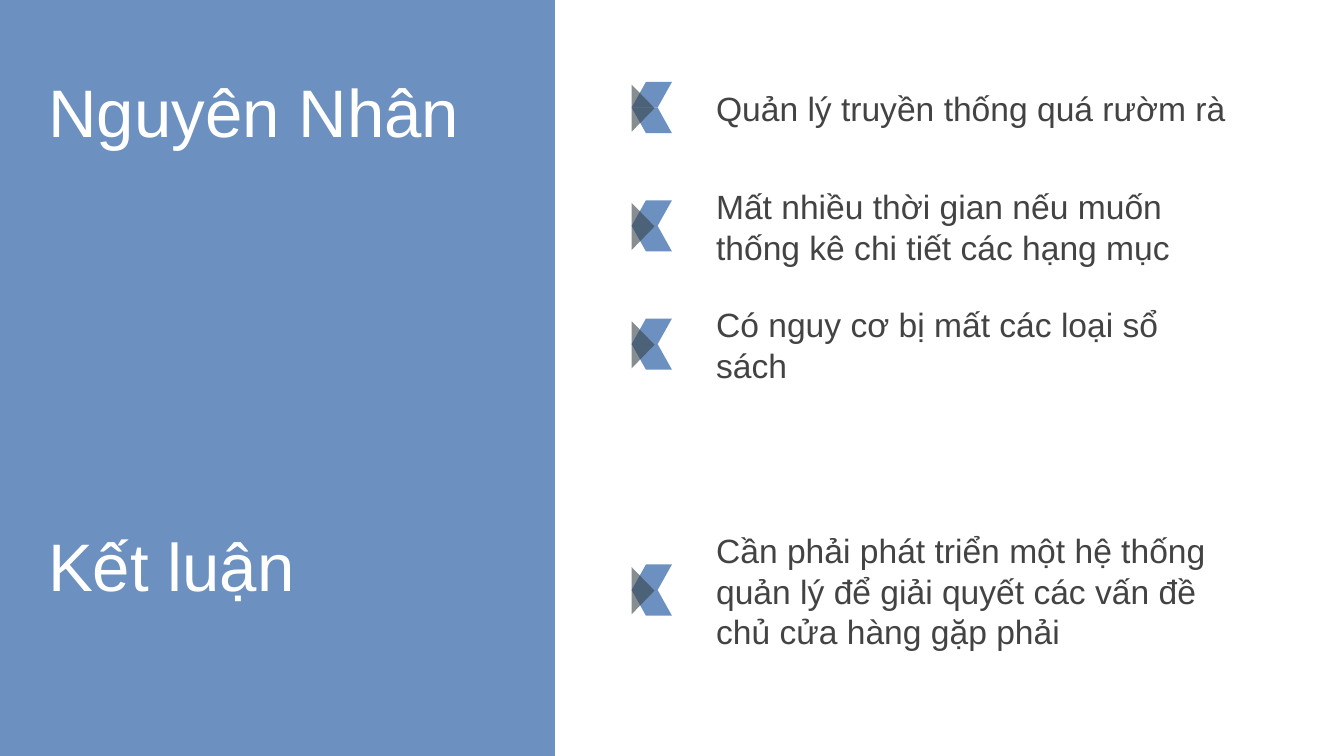
"""Build a slide of causes and a conclusion beside a blue panel."""
import pptx
import pptx.dml.color
import pptx.enum.shapes
import pptx.enum.text
import pptx.oxml
import pptx.oxml.ns
import pptx.util
from pptx.util import Inches

BLUE = pptx.dml.color.RGBColor(0x5E, 0x85, 0xB9)
SLATE = pptx.dml.color.RGBColor(0x38, 0x44, 0x4A)
GRAY = pptx.dml.color.RGBColor(0x43, 0x43, 0x43)
WHITE = pptx.dml.color.RGBColor(0xFF, 0xFF, 0xFF)
SHAPE = pptx.enum.shapes.MSO_SHAPE
ANCHOR = pptx.enum.text.MSO_ANCHOR


def add_filled(shapes, kind, left, top, width, height, color, opacity):
    shape = shapes.add_shape(kind, Inches(left), Inches(top), Inches(width), Inches(height))
    shape.shadow.inherit = False
    shape.line.fill.background()
    shape.fill.solid()
    shape.fill.fore_color.rgb = color
    color_node = shape._element.spPr.find(".//" + pptx.oxml.ns.qn("a:srgbClr"))
    alpha = pptx.oxml.parse_xml(f'<a:alpha {pptx.oxml.ns.nsdecls("a")} val="{opacity * 1000}"/>')
    color_node.append(alpha)
    return shape


def write_text(box, left, top, width, height, text, size, color, anchor):
    box.left, box.top = Inches(left), Inches(top)
    box.width, box.height = Inches(width), Inches(height)
    frame = box.text_frame
    frame.word_wrap = True
    frame.auto_size = pptx.enum.text.MSO_AUTO_SIZE.NONE
    frame.vertical_anchor = anchor
    frame.margin_left = frame.margin_right = Inches(0.1)
    frame.margin_top = frame.margin_bottom = Inches(0.1)
    para = frame.paragraphs[0]
    para.alignment = pptx.enum.text.PP_ALIGN.LEFT
    span = para.add_run()
    span.text = text
    span.font.name = "Arial"
    span.font.size = pptx.util.Pt(size)
    span.font.color.rgb = color


deck = pptx.Presentation()
deck.slide_width = Inches(10)
deck.slide_height = Inches(10 * 9 / 16)
page = deck.slides.add_slide(deck.slide_layouts[5])

panel = add_filled(page.shapes, SHAPE.RECTANGLE, 0, 0, 4.13, 10 * 9 / 16, BLUE, 91)
page.shapes._spTree.insert(2, panel._element)

conclusion = page.shapes.add_textbox(0, 0, 0, 0)
for box, top, text in (
    (page.shapes.title, 0.42, "Nguyên Nhân"),
    (conclusion, 3.8, "Kết luận"),
):
    write_text(box, 0.26, top, 3.92, 1.93, text, 36, WHITE, ANCHOR.TOP)

points = (
    (0.55, 4.33, "Quản lý truyền thống quá rườm rà"),
    (1.43, 3.85, "Mất nhiều thời gian nếu muốn thống kê chi tiết các hạng mục"),
    (2.31, 3.85, "Có nguy cơ bị mất các loại sổ sách"),
    (4.14, 3.85, "Cần phải phát triển một hệ thống quản lý để giải quyết các vấn đề chủ cửa hàng gặp phải"),
)
for top, width, text in points:
    point = page.shapes.add_textbox(0, 0, 0, 0)
    write_text(point, 5.23, top, width, 0.51, text, 18, GRAY, ANCHOR.MIDDLE)

    marker = page.shapes.add_group_shape()
    marker_top = top + 0.06
    for row in range(2):
        half = add_filled(marker.shapes, SHAPE.PARALLELOGRAM, 4.7, marker_top + row * 0.19, 0.3, 0.19, BLUE, 91)
        half.adjustments[0] = 0.56
        if row == 1:
            half._element.spPr.find(pptx.oxml.ns.qn("a:xfrm")).set("flipH", "1")
    tip = add_filled(marker.shapes, SHAPE.ISOSCELES_TRIANGLE, 4.61, marker_top + 0.11, 0.35, 0.17, SLATE, 60)
    tip.rotation = 90

deck.save("out.pptx")
